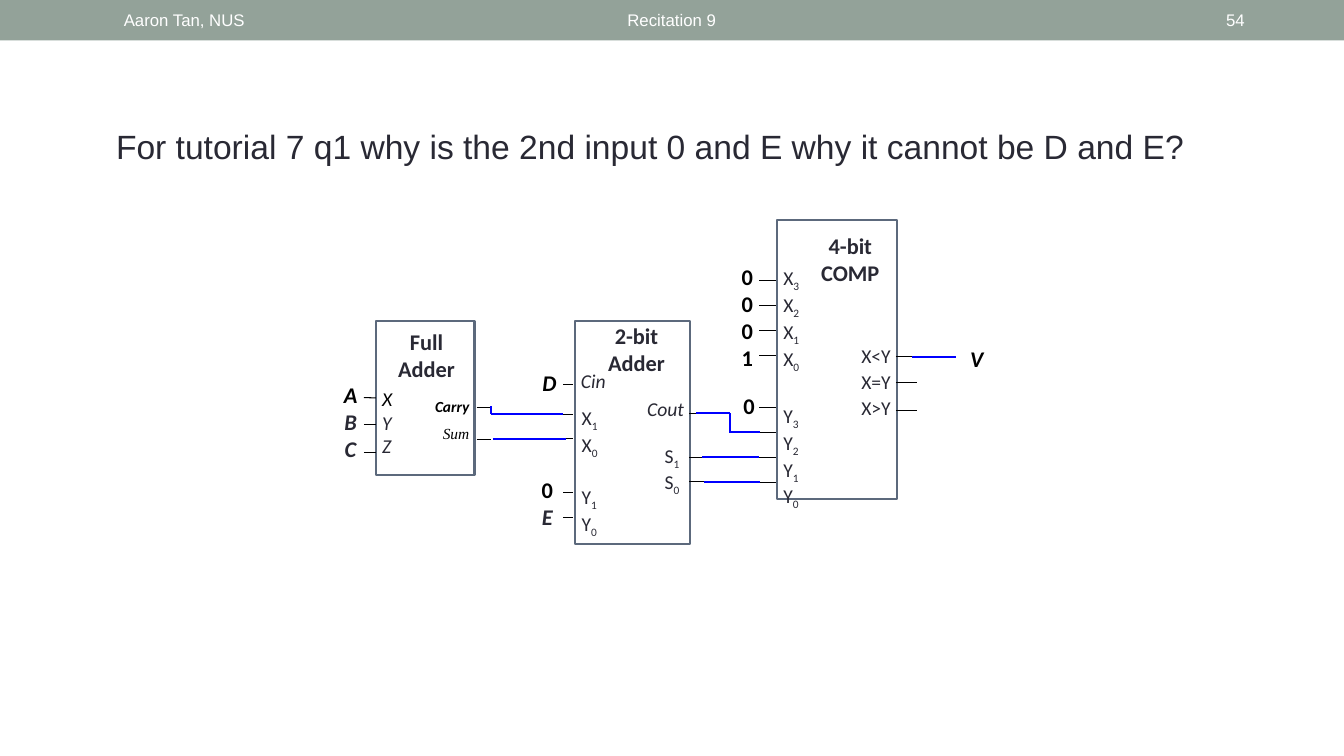
from lxml.etree import SubElement
from pptx import Presentation
from pptx.dml.color import RGBColor
from pptx.enum.shapes import MSO_CONNECTOR, MSO_SHAPE
from pptx.enum.text import MSO_ANCHOR, MSO_AUTO_SIZE, PP_ALIGN
from pptx.oxml.ns import qn
from pptx.util import Cm, Pt

INK, BLACK, WHITE = "292934", "000000", "FFFFFF"
BAND, OUTLINE, WIRE = "93A299", "5C697C", "0000FF"
LEFT, CENTER, RIGHT = PP_ALIGN.LEFT, PP_ALIGN.CENTER, PP_ALIGN.RIGHT


def color(value):
    return RGBColor.from_string(value)


def write(frame, text, font="Calibri", size=14, ink=INK, bold=False,
          italic=False, align=LEFT, before=0, after=0):
    paragraph = frame.paragraphs[0]
    if paragraph.runs:
        paragraph = frame.add_paragraph()
    paragraph.alignment = align
    paragraph.space_before = Pt(before)
    paragraph.space_after = Pt(after)
    for index, part in enumerate(text.split("_")):
        run = paragraph.add_run()
        run.text = part
        run.font.name = font
        run.font.size = Pt(size)
        run.font.bold = bold
        run.font.italic = italic
        run.font.color.rgb = color(ink)
        if index:
            run._r.get_or_add_rPr().set("baseline", "-25000")


class CircuitSlide:
    def __init__(self, presentation):
        self.slide = presentation.slides.add_slide(presentation.slide_layouts[5])
        self.shapes = self.slide.shapes

    def title(self, text, left, top, width, height):
        shape = self.shapes.title
        shape.left, shape.top = Cm(left), Cm(top)
        shape.width, shape.height = Cm(width), Cm(height)
        frame = shape.text_frame
        frame.auto_size = MSO_AUTO_SIZE.NONE
        frame.vertical_anchor = MSO_ANCHOR.TOP
        write(frame, text, font="Arial", size=24)

    def block(self, left, top, width, height, fill=None, line=None):
        shape = self.shapes.add_shape(
            MSO_SHAPE.RECTANGLE, Cm(left), Cm(top), Cm(width), Cm(height))
        shape.shadow.inherit = False
        if fill:
            shape.fill.solid()
            shape.fill.fore_color.rgb = color(fill)
        else:
            shape.fill.background()
        if line:
            shape.line.color.rgb = color(line)
            shape.line.width = Pt(1.5)
        else:
            shape.line.fill.background()
        return shape

    def frame(self, left, top, width, height, inset=0.03, anchor=MSO_ANCHOR.TOP):
        box = self.shapes.add_textbox(Cm(left), Cm(top), Cm(width), Cm(height))
        frame = box.text_frame
        frame.word_wrap = True
        frame.vertical_anchor = anchor
        frame.margin_left = frame.margin_right = Cm(inset)
        frame.margin_top = frame.margin_bottom = Cm(0.13)
        return frame

    def labels(self, place, texts, **style):
        frame = self.frame(*place)
        for text in texts:
            write(frame, text, **style)
        return frame

    def signals(self, place, texts, italic=False):
        return self.labels(place, texts, size=16, ink=BLACK, bold=True,
                           italic=italic, align=CENTER)

    def heading(self, place, texts):
        self.labels(place, texts, size=16, bold=True, align=CENTER)

    def footer(self, text, left, width, align):
        frame = self.frame(left, 0.05, width, 0.91, 0.25, MSO_ANCHOR.MIDDLE)
        write(frame, text, font="Arial", size=12, ink=WHITE, align=align)

    def line(self, x1, y1, x2, y2, ink=BLACK, weight=0.75):
        connector = self.shapes.add_connector(
            MSO_CONNECTOR.STRAIGHT, Cm(x1), Cm(y1), Cm(x2), Cm(y2))
        connector.line.color.rgb = color(ink)
        connector.line.width = Pt(weight)
        SubElement(connector._element.spPr, qn("a:effectLst"))
        return connector

    def pins(self, start, end, heights):
        return [self.line(start, y, end, y) for y in heights]


def draw_full_adder(page):
    adder = page.block(9.47, 8.08, 2.49, 3.89, WHITE, OUTLINE)
    page.heading((9.63, 8.15, 2.24, 1.57), ["Full", "Adder"])
    inputs = page.frame(9.6, 9.63, 0.56, 2.41)
    write(inputs, "X", ink=BLACK, italic=True)
    for name in "YZ":
        write(inputs, name, italic=True)
    outputs = page.frame(10.69, 9.88, 1.17, 1.83)
    style = dict(size=11, ink=BLACK, italic=True, align=RIGHT, after=6)
    write(outputs, "Carry", bold=True, **style)
    write(outputs, "Sum", font="Times New Roman", **style)
    signals = page.signals((8.48, 9.47, 0.71, 2.49), "A", italic=True)
    for name in "BC":
        write(signals, name, size=16, bold=True, italic=True, align=CENTER)
    pins = page.pins(9.17, 9.47, [10.02, 10.69, 11.4])
    pins[0].end_connect(adder, 1)
    page.pins(12.01, 12.37, [10.26, 11.07])


def draw_two_bit_adder(page):
    page.block(14.5, 8.08, 2.9, 5.64, line=OUTLINE)
    page.heading((15.06, 7.98, 1.96, 1.47), ["2-bit", "Adder"])
    page.labels((14.61, 9.17, 1.04, 0.94), ["Cin"], italic=True)
    inputs = page.labels((14.63, 10.11, 0.89, 3.48), ["X_1", "X_0"])
    write(inputs, "Y_1", before=18)
    write(inputs, "Y_0")
    page.labels((16.1, 9.88, 1.17, 0.99), ["Cout"], italic=True, align=RIGHT)
    page.labels((16.41, 11.05, 0.74, 1.63), ["S_1", "S_0"], align=RIGHT)
    page.signals((13.49, 9.17, 0.71, 1.04), "D", italic=True)
    signals = page.signals((13.34, 11.86, 0.91, 1.78), "0")
    write(signals, "E", size=16, bold=True, italic=True, align=CENTER)
    page.pins(14.2, 14.45, [9.68, 10.44, 11.05, 12.4, 13.03])
    page.pins(17.37, 17.78, [10.41, 11.53, 12.14])


def draw_comparator(page):
    page.block(19.58, 5.54, 3.02, 7.04, line=OUTLINE)
    page.heading((20.45, 5.72, 1.96, 1.47), ["4-bit", "COMP"])
    inputs = page.labels((19.71, 6.58, 0.89, 6.02), ["X_3", "X_2", "X_1", "X_0"])
    write(inputs, "Y_3", before=22)
    for name in ["Y_2", "Y_1", "Y_0"]:
        write(inputs, name)
    page.labels((21.11, 8.53, 1.37, 2.26), ["X<Y", "X=Y", "X>Y"],
                align=RIGHT, after=2)
    page.signals((18.36, 6.5, 0.94, 2.9), "0001")
    page.signals((18.52, 9.75, 0.71, 1.04), "0")
    page.signals((24.26, 8.56, 0.71, 1.04), "V", italic=True)
    for first in (7.06, 10.26):
        page.pins(19.13, 19.56, [first + 0.63 * row for row in range(4)])
    page.pins(22.58, 23.11, [8.99, 9.65, 10.34])


def draw_wires(page):
    wires = [
        (12.37, 10.44, 14.2, 10.44),
        (12.42, 11.07, 14.27, 11.07),
        (17.73, 12.14, 19.15, 12.14),
        (17.7, 11.51, 19.13, 11.51),
        (17.55, 10.41, 18.39, 10.41),
        (18.39, 10.41, 18.39, 10.92),
        (18.39, 10.88, 19.15, 10.88),
        (22.99, 8.99, 24.1, 8.99),
    ]
    for wire in wires:
        page.line(*wire, ink=WIRE, weight=1.5)
    page.line(12.37, 10.24, 12.37, 10.44, ink=WIRE, weight=1)


def main():
    presentation = Presentation()
    presentation.slide_width = Cm(33.87)
    presentation.slide_height = Cm(19.05)
    page = CircuitSlide(presentation)
    page.block(0, 0, 33.87, 1.02, fill=BAND)
    page.title("For tutorial 7 q1 why is the 2nd input 0 and E why it cannot be D and E?",
               2.67, 3.05, 27.94, 1.27)
    draw_full_adder(page)
    draw_two_bit_adder(page)
    draw_comparator(page)
    draw_wires(page)
    page.footer("Recitation 9", 7.67, 18.52, CENTER)
    page.footer("Aaron Tan, NUS", 2.87, 8.05, LEFT)
    page.footer("54", 29.21, 2.41, RIGHT)
    presentation.save("out.pptx")


if __name__ == "__main__":
    main()
